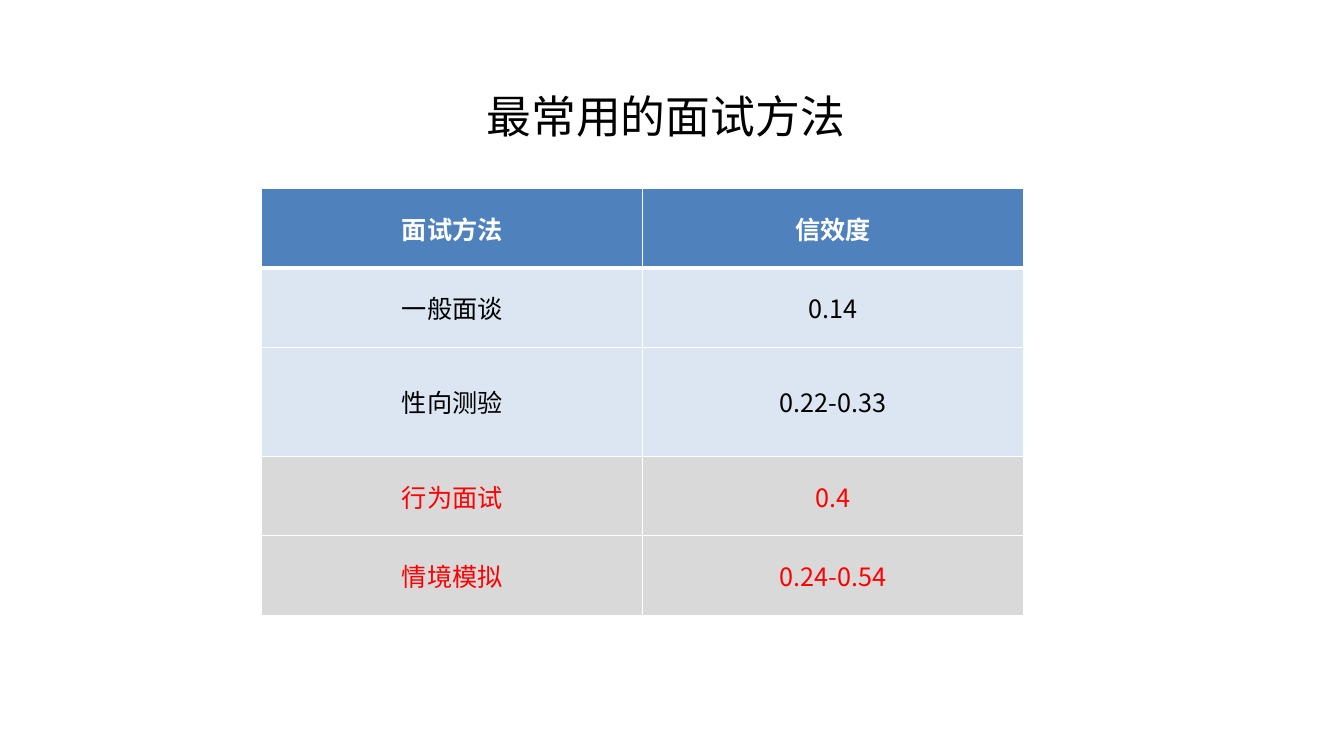
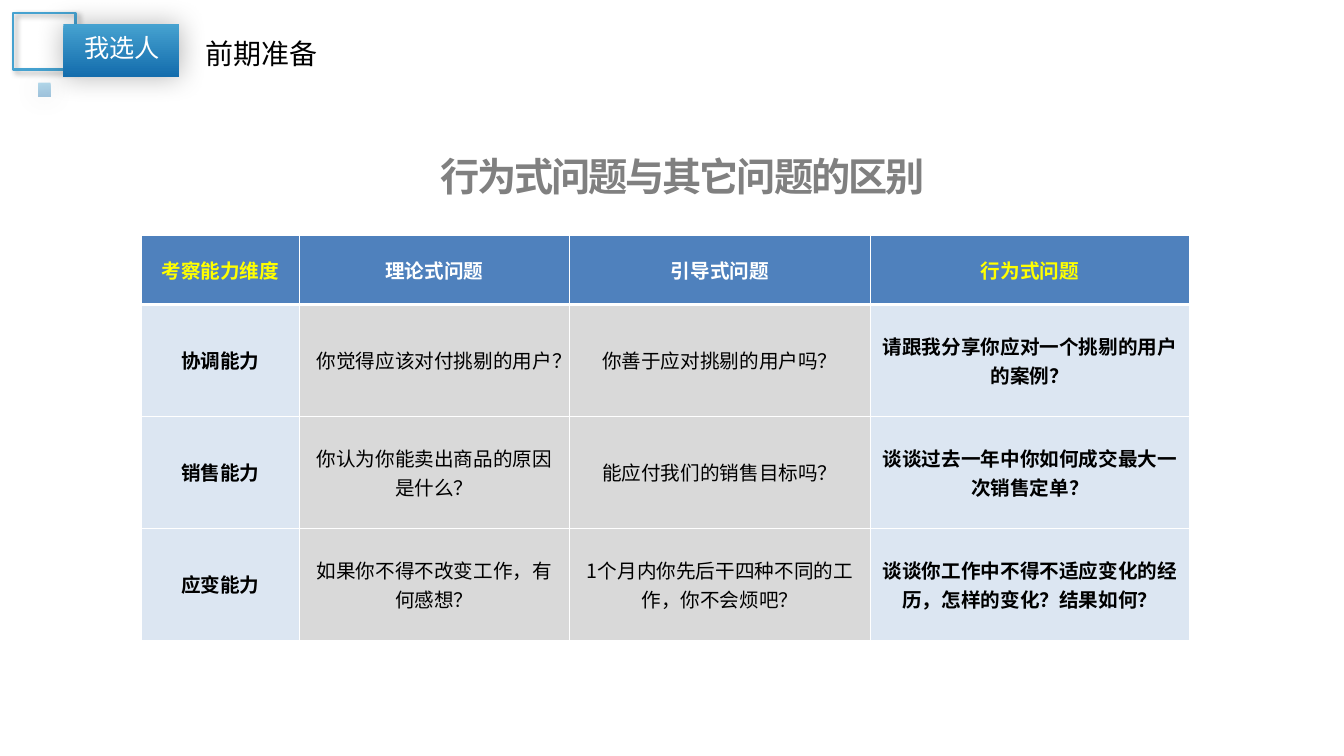
from lxml.etree import SubElement
from pptx import Presentation
from pptx.dml.color import RGBColor
from pptx.enum.shapes import MSO_SHAPE
from pptx.enum.text import MSO_ANCHOR, PP_ALIGN
from pptx.oxml.ns import qn
from pptx.util import Cm, Pt

CJK = "Noto Sans CJK SC"
WHITE, BLACK, GRAY, RED, YELLOW = "FFFFFF", "000000", "808080", "FF0000", "FFFF00"
HEADER, PALE, SILVER = "4F81BD", "DCE6F2", "D9D9D9"
SKY, DEEP = "46A2D0", "146DAD"


def rgb(value):
    """Turn a hex string into a colour."""
    return RGBColor.from_string(value)


def write(tf, text, size, color=BLACK, bold=False, font=CJK, align=PP_ALIGN.CENTER):
    """Write one formatted paragraph and return its run."""
    p = tf.paragraphs[0]
    p.alignment = align
    r = p.add_run()
    r.text = text
    for name, value in {"size": Pt(size), "bold": bold, "name": font}.items():
        setattr(r.font, name, value)
    r.font.color.rgb = rgb(color)
    SubElement(r.font._element, qn("a:ea"), typeface=CJK)
    return r


def place(sp, box):
    """Set left, top, width and height in centimetres."""
    for name, value in zip(("left", "top", "width", "height"), box):
        setattr(sp, name, Cm(value))


def add_title(s, text, box, size, **style):
    """Place and format the slide title and return its run."""
    sp = s.shapes.title
    place(sp, box)
    sp.text_frame.vertical_anchor = MSO_ANCHOR.MIDDLE
    return write(sp.text_frame, text, size, **style)


def add_label(s, text, box, size, color, anchor, wrap):
    """Add a left-aligned text box."""
    tf = s.shapes.add_textbox(*map(Cm, box)).text_frame
    tf.word_wrap = wrap
    tf.vertical_anchor = anchor
    write(tf, text, size, color, align=PP_ALIGN.LEFT)


def add_block(s, kind, box, blur, dist=0, angle=0):
    """Add a preset shape with a soft black shadow."""
    sp = s.shapes.add_shape(kind, *map(Cm, box))
    sp.shadow.inherit = False
    effects = sp._element.spPr.find(qn("a:effectLst"))
    shadow = SubElement(effects, qn("a:outerShdw"), blurRad=str(Pt(blur)),
                        dist=str(Pt(dist)), dir=str(angle * 60000), rotWithShape="0")
    color = SubElement(shadow, qn("a:srgbClr"), val=BLACK)
    SubElement(color, qn("a:alpha"), val="30000")
    return sp


def add_gradient_block(s, box, opacity=100):
    """Add a square-cornered block with the blue vertical gradient."""
    sp = add_block(s, MSO_SHAPE.ROUNDED_RECTANGLE, box, blur=20)
    sp.adjustments[0] = 0
    sp.line.fill.background()
    sp.fill.gradient()
    sp.fill.gradient_angle = 270
    for stop, color in zip(sp.fill.gradient_stops, (SKY, DEEP)):
        stop.color.rgb = rgb(color)
    if opacity < 100:
        gradient = sp._element.spPr.find(qn("a:gradFill"))
        for color in gradient.iter(qn("a:srgbClr")):
            SubElement(color, qn("a:alpha"), val=str(opacity * 1000))


def add_borders(cell, top, bottom):
    """Draw white cell borders, 1 pt wide at the sides."""
    tc_pr = cell._tc.get_or_add_tcPr()
    widths = {"lnL": 1, "lnR": 1, "lnT": top, "lnB": bottom}
    for i, (tag, width) in enumerate(widths.items()):
        ln = SubElement(tc_pr, qn(f"a:{tag}"), w=str(Pt(width)))
        fill = SubElement(ln, qn("a:solidFill"))
        SubElement(fill, qn("a:srgbClr"), val=WHITE)
        tc_pr.insert(i, ln)


def add_grid(s, origin, cols, rows, data, size, style):
    """Add a table; style(row, col) gives fill, text colour and bold."""
    frame = s.shapes.add_table(len(rows), len(cols), *map(Cm, (*origin, sum(cols), sum(rows))))
    table = frame.table
    for column, width in zip(table.columns, cols):
        column.width = Cm(width)
    for row, height in zip(table.rows, rows):
        row.height = Cm(height)
    for i, texts in enumerate(data):
        for j, text in enumerate(texts):
            cell = table.cell(i, j)
            fill, color, bold = style(i, j)
            cell.fill.solid()
            cell.fill.fore_color.rgb = rgb(fill)
            cell.vertical_anchor = MSO_ANCHOR.MIDDLE
            write(cell.text_frame, text, size, color, bold)
            add_borders(cell, top=3 if i == 1 else 1, bottom=3 if i == 0 else 1)


def add_section_mark(s, section, topic):
    """Add the section badge and topic at the top left."""
    frame = add_block(s, MSO_SHAPE.RECTANGLE, (0.33, 0.33, 1.57, 1.42), blur=4, dist=3, angle=45)
    frame.fill.background()
    frame.line.color.rgb = rgb(SKY)
    frame.line.width = Pt(2)
    add_gradient_block(s, (1.6, 0.61, 2.92, 1.32))
    add_gradient_block(s, (0.97, 2.08, 0.3, 0.36), opacity=40)
    add_label(s, section, (1.88, 0.69, 2.44, 1.02), 18, WHITE, MSO_ANCHOR.TOP, False)
    add_label(s, topic, (4.93, 0.86, 4.19, 0.97), 20, BLACK, MSO_ANCHOR.MIDDLE, True)


def method_style(row, col):
    """Highlight the last two interview methods."""
    if row == 0:
        return HEADER, WHITE, True
    return (SILVER, RED, False) if row > 2 else (PALE, BLACK, False)


def question_style(row, col):
    """Stress the outer columns."""
    outer = col in (0, 3)
    if row == 0:
        return HEADER, YELLOW if outer else WHITE, True
    return PALE if outer else SILVER, BLACK, outer


def build_methods(s):
    """Build the slide on interview methods."""
    add_title(s, "最常用的面试方法", (7.54, 1.93, 18.49, 1.96), 32)
    data = [
        ("面试方法", "信效度"),
        ("一般面谈", "0.14"),
        ("性向测验", "0.22-0.33"),
        ("行为面试", "0.4"),
        ("情境模拟", "0.24-0.54"),
    ]
    add_grid(s, (6.6, 4.75), [9.6] * 2, [2, 2, 2.75, 2, 2], data, 18, method_style)


def build_questions(s):
    """Build the slide comparing question types."""
    r = add_title(s, "行为式问题与其它问题的区别", (6.4, 3.76, 21.6, 1.32), 28,
                  color=GRAY, bold=True, font="Open Sans")
    r.font._element.set("spc", "-150")
    tf = s.shapes.title.text_frame
    margins = {"margin_left": 0.13, "margin_right": 0.13, "margin_top": 0.08, "margin_bottom": 0.08}
    for name, value in margins.items():
        setattr(tf, name, Cm(value))
    add_section_mark(s, "我选人", "前期准备")
    data = [
        ("考察能力维度", "理论式问题", "引导式问题", "行为式问题"),
        ("协调能力", "你觉得应该对付挑剔的用户？", "你善于应对挑剔的用户吗？",
         "请跟我分享你应对一个挑剔的用户的案例？"),
        ("销售能力", "你认为你能卖出商品的原因是什么？", "能应付我们的销售目标吗？",
         "谈谈过去一年中你如何成交最大一次销售定单？"),
        ("应变能力", "如果你不得不改变工作，有何感想？",
         "1个月内你先后干四种不同的工作，你不会烦吧？",
         "谈谈你工作中不得不适应变化的经历，怎样的变化？结果如何？"),
    ]
    add_grid(s, (3.56, 5.92), [3.99, 6.8, 7.6, 8.03], [1.75] + [2.82] * 3, data, 14, question_style)


def main():
    """Build and save the presentation."""
    prs = Presentation()
    prs.slide_width, prs.slide_height = Cm(33.88), Cm(19.05)
    for build in (build_methods, build_questions):
        build(prs.slides.add_slide(prs.slide_layouts[5]))
    prs.save("out.pptx")


if __name__ == "__main__":
    main()
